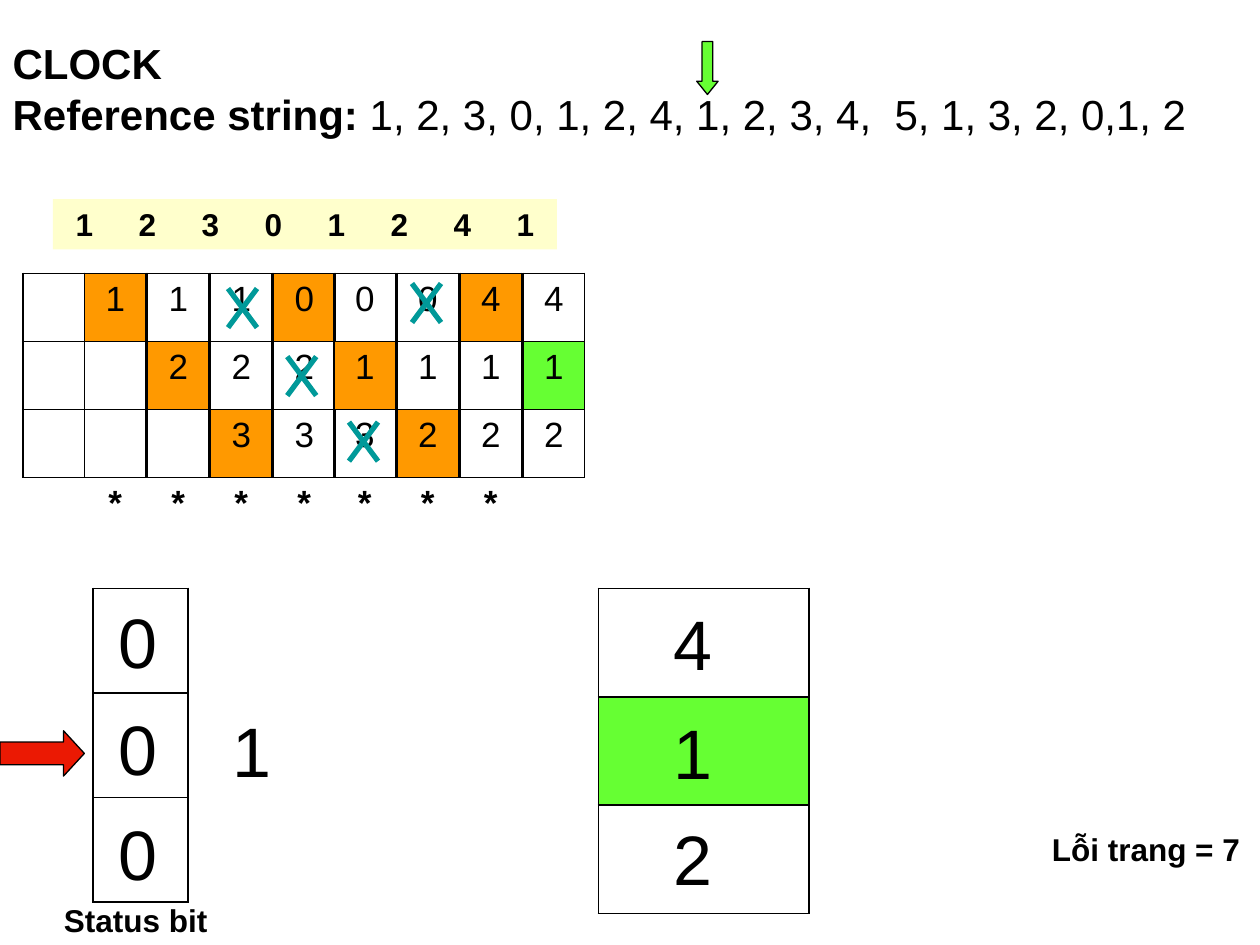
from lxml.etree import SubElement
from pptx import Presentation
from pptx.dml.color import RGBColor
from pptx.enum.shapes import MSO_CONNECTOR, MSO_SHAPE
from pptx.enum.text import MSO_ANCHOR, MSO_AUTO_SIZE, PP_ALIGN
from pptx.oxml.ns import qn
from pptx.util import Inches, Pt

COLORS = {"ink": "000000", "cream": "FFFFCC", "orange": "FF9900",
          "green": "66FF33", "red": "EB1903", "teal": "009999"}

TITLE = [
    [("CLOCK", True)],
    [("Reference string:", True),
     (" 1, 2, 3, 0, 1, 2, 4, 1, 2, 3, 4,  5, 1, 3, 2, 0,1, 2", False)],
]
REFERENCES = ["1", "2", "3", "0", "1", "2", "4", "1"]

FRAME_STEPS = [
    (0.18, ["", "", "", ""], {}),
    (0.67, ["1", "", "", "*"], {0: "orange"}),
    (1.17, ["1", "2", "", "*"], {1: "orange"}),
    (1.67, ["1", "2", "3", "*"], {2: "orange"}),
    (2.17, ["0", "2", "3", "*"], {0: "orange"}),
    (2.65, ["0", "1", "3", "*"], {1: "orange"}),
    (3.15, ["0", "1", "2", "*"], {2: "orange"}),
    (3.65, ["4", "1", "2", "*"], {0: "orange"}),
    (4.15, ["4", "1", "2", ""], {1: "green"}),
]
CROSSES = [(1.81, 2.29), (2.28, 2.83), (2.77, 3.35), (3.27, 2.25)]
CROSS_SIZE = (0.23, 0.31)

STATE_TABLES = [
    (4.75, 4.67, 1.67, 0.86, {1: "green"}),
    (0.74, 4.67, 0.75, 0.83, {}),
]
DIGIT = {"size": Pt(40), "bold": False}
LABEL = {"size": Pt(18), "bold": True}
LABELS = [
    ("0", 0.84, 4.70, 0.51, 0.77, DIGIT),
    ("0", 0.84, 5.55, 0.51, 0.77, DIGIT),
    ("0", 0.84, 6.38, 0.51, 0.77, DIGIT),
    ("1", 1.75, 5.57, 0.51, 0.77, DIGIT),
    ("4", 5.25, 4.72, 0.51, 0.77, DIGIT),
    ("1", 5.25, 5.58, 0.51, 0.77, DIGIT),
    ("2", 5.25, 6.42, 0.51, 0.77, DIGIT),
    ("Status bit", 0.41, 7.10, 1.34, 0.40, LABEL),
    ("Lỗi trang = 7", 8.25, 6.54, 1.69, 0.40, LABEL),
]
ARROWS = [
    (MSO_SHAPE.DOWN_ARROW, (5.53, 0.33, 0.17, 0.42), 0.62, "green"),
    (MSO_SHAPE.RIGHT_ARROW, (0, 5.8, 0.67, 0.36), 0.46, "red"),
]
THICK, THIN = 1.08, 0.45


def color(name):
    return RGBColor.from_string(COLORS[name])


def inches(*lengths):
    return [Inches(length) for length in lengths]


def write(para, text, align=PP_ALIGN.LEFT, **values):
    span = para.add_run()
    span.text = text
    para.alignment = align
    for name, value in {"name": "Arial", **values}.items():
        setattr(span.font, name, value)
    span.font.color.rgb = color("ink")


def add_border(cell, side, width):
    line = SubElement(cell._tc.get_or_add_tcPr(), qn(f"a:ln{side}"), w=str(Pt(width)))
    if width:
        fill = SubElement(line, qn("a:solidFill"))
        SubElement(fill, qn("a:srgbClr"), val=COLORS["ink"])
    else:
        SubElement(line, qn("a:noFill"))


def add_column(page, left, top, width, row_height, values, fills, edges):
    count = len(values)
    frame = page.shapes.add_table(
        count, 1, *inches(left, top, width, row_height * count))
    table = frame.table
    table.first_row = table.horz_banding = False
    for index, text in enumerate(values):
        cell = table.cell(index, 0)
        side = THICK if index < 3 else 0
        for name, line in zip("LRTB", (side, side, edges[index], edges[index + 1])):
            add_border(cell, name, line)
        if index in fills:
            cell.fill.solid()
            cell.fill.fore_color.rgb = color(fills[index])
        else:
            cell.fill.background()
        if text:
            write(cell.text_frame.paragraphs[0], text, PP_ALIGN.CENTER,
                  size=Pt(20), bold=text == "*")


def add_filled_shape(page, kind, place, fill):
    shape = page.shapes.add_shape(kind, *inches(*place))
    shape.shadow.inherit = False
    shape.fill.solid()
    shape.fill.fore_color.rgb = color(fill)
    return shape


def add_cross(page, left, top):
    width, height = CROSS_SIZE
    group = page.shapes.add_group_shape()
    for start, end in ((left + width, left), (left, left + width)):
        line = group.shapes.add_connector(
            MSO_CONNECTOR.STRAIGHT, *inches(start, top, end, top + height))
        line.line.color.rgb = color("teal")
        line.line.width = Pt(3)
        SubElement(line._element.spPr, qn("a:effectLst"))


def add_title(page):
    title = page.shapes.title
    place = dict(zip(("left", "top", "width", "height"), inches(0, 0.25, 10, 0.9)))
    for name, value in place.items():
        setattr(title, name, value)
    box = title.text_frame
    box.word_wrap = True
    box.auto_size = MSO_AUTO_SIZE.NONE
    box.vertical_anchor = MSO_ANCHOR.TOP
    for index, spans in enumerate(TITLE):
        para = box.add_paragraph() if index else box.paragraphs[0]
        for text, bold in spans:
            write(para, text, size=Pt(24), bold=bold)


def main():
    deck = Presentation()
    deck.slide_width, deck.slide_height = inches(10, 7.5)
    page = deck.slides.add_slide(deck.slide_layouts[5])
    add_title(page)

    for index, text in enumerate(REFERENCES):
        place = (0.42 + 0.5 * index, 1.58, 0.5, 0.4)
        tile = add_filled_shape(page, MSO_SHAPE.RECTANGLE, place, "cream")
        tile.line.fill.background()
        write(tile.text_frame.paragraphs[0], text, PP_ALIGN.CENTER, **LABEL)

    for left, values, fills in FRAME_STEPS:
        add_column(page, left, 2.17, 0.49, 0.54, values, fills,
                   [THICK, THIN, THIN, THICK, 0])
    for left, top in CROSSES:
        add_cross(page, left, top)

    for left, top, width, row_height, fills in STATE_TABLES:
        add_column(page, left, top, width, row_height, [""] * 3, fills, [THICK] * 4)
    for text, left, top, width, height, style in LABELS:
        label = page.shapes.add_textbox(*inches(left, top, width, height))
        label.text_frame.word_wrap = False
        write(label.text_frame.paragraphs[0], text, **style)

    for kind, place, head, fill in ARROWS:
        arrow = add_filled_shape(page, kind, place, fill)
        arrow.adjustments[1] = head
        arrow.line.color.rgb = color("ink")
        arrow.line.width = Pt(0.75)

    deck.save("out.pptx")


if __name__ == "__main__":
    main()
